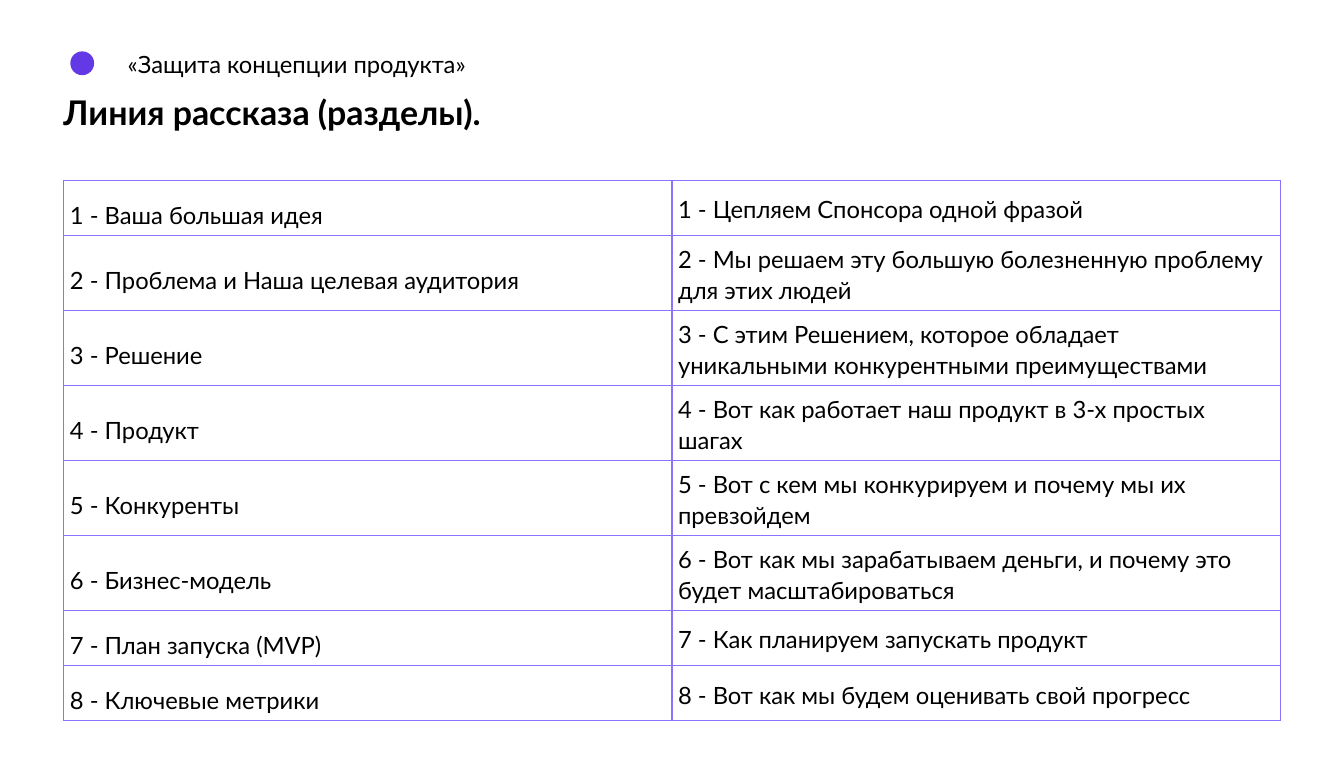
import pptx
import pptx.util
import pptx.dml.color
import pptx.enum.shapes
import pptx.enum.text
import pptx.oxml.ns
from lxml import etree
from pptx.util import Inches

COLORS = {"text": "000000", "mark": "6339E6", "border": "8973FF"}
FONT = "Lato"
SECTIONS = [
    ("Ваша большая идея", "Цепляем Спонсора одной фразой"),
    ("Проблема и Наша целевая аудитория",
     "Мы решаем эту большую болезненную проблему для этих людей"),
    ("Решение",
     "С этим Решением, которое обладает уникальными конкурентными преимуществами"),
    ("Продукт", "Вот как работает наш продукт в 3-х простых шагах"),
    ("Конкуренты", "Вот с кем мы конкурируем и почему мы их превзойдем"),
    ("Бизнес-модель",
     "Вот как мы зарабатываем деньги, и почему это будет масштабироваться"),
    ("План запуска (MVP)", "Как планируем запускать продукт"),
    ("Ключевые метрики", "Вот как мы будем оценивать свой прогресс"),
]
ONE_LINE, TWO_LINES = 0.9, 1.22
LINE_LIMIT = 45
COLUMN_WIDTH = 9.95
LINE_SPACINGS = (1.5, 1.1)


def rgb(name):
    return pptx.dml.color.RGBColor.from_string(COLORS[name])


def add_run(p, text, size, bold=False):
    r = p.add_run()
    r.text = text
    r.font.name = FONT
    r.font.size = pptx.util.Pt(size)
    r.font.bold = bold
    r.font.color.rgb = rgb("text")


def add_text(s, box, text, size, insets, bold=False):
    tf = s.shapes.add_textbox(*map(Inches, box)).text_frame
    tf.word_wrap = True
    tf.margin_left = tf.margin_right = Inches(insets[0])
    tf.margin_top = tf.margin_bottom = Inches(insets[1])
    add_run(tf.paragraphs[0], text, size, bold)


def add_mark(s, box):
    sp = s.shapes.add_shape(pptx.enum.shapes.MSO_SHAPE.OVAL, *map(Inches, box))
    sp.shadow.inherit = False
    sp.fill.solid()
    sp.fill.fore_color.rgb = rgb("mark")
    sp.line.fill.background()


def set_borders(cell):
    qn = pptx.oxml.ns.qn
    tcPr = cell._tc.get_or_add_tcPr()
    for side in ("a:lnL", "a:lnR", "a:lnT", "a:lnB"):
        ln = etree.SubElement(tcPr, qn(side), w=str(pptx.util.Pt(1.5)))
        fill = etree.SubElement(ln, qn("a:solidFill"))
        etree.SubElement(fill, qn("a:srgbClr"), val=COLORS["border"])


def fill_cell(cell, text, spacing):
    set_borders(cell)
    cell.fill.background()
    cell.vertical_anchor = pptx.enum.text.MSO_ANCHOR.MIDDLE
    cell.margin_left = cell.margin_right = Inches(0.1)
    cell.margin_top = cell.margin_bottom = Inches(0.1)
    p = cell.text_frame.paragraphs[0]
    p.line_spacing = spacing
    add_run(p, text, 28)


def add_sections_table(s, left, top):
    heights = [TWO_LINES if len(story) > LINE_LIMIT else ONE_LINE
               for _, story in SECTIONS]
    table = s.shapes.add_table(
        len(SECTIONS), 2, Inches(left), Inches(top),
        Inches(2 * COLUMN_WIDTH), Inches(sum(heights))).table
    table.first_row = table.horz_banding = False
    for column in table.columns:
        column.width = Inches(COLUMN_WIDTH)
    for i, (section, height) in enumerate(zip(SECTIONS, heights)):
        table.rows[i].height = Inches(height)
        for j, text in enumerate(section):
            fill_cell(table.cell(i, j), f"{i + 1} - {text}", LINE_SPACINGS[j])


def main():
    prs = pptx.Presentation()
    prs.slide_width = Inches(21.99)
    prs.slide_height = Inches(12.83)
    s = prs.slides.add_slide(prs.slide_layouts[6])
    add_mark(s, (1.15, 0.84, 0.39, 0.39))
    add_text(s, (0.94, 1.45, 7.89, 0.77), "Линия рассказа (разделы).",
             40, (0.1, 0.05), bold=True)
    add_sections_table(s, 1.045, 2.96)
    add_text(s, (2.05, 0.8, 7.32, 0.55), "«Защита концепции продукта»",
             28, (0.04, 0.02))
    prs.save("out.pptx")


if __name__ == "__main__":
    main()
